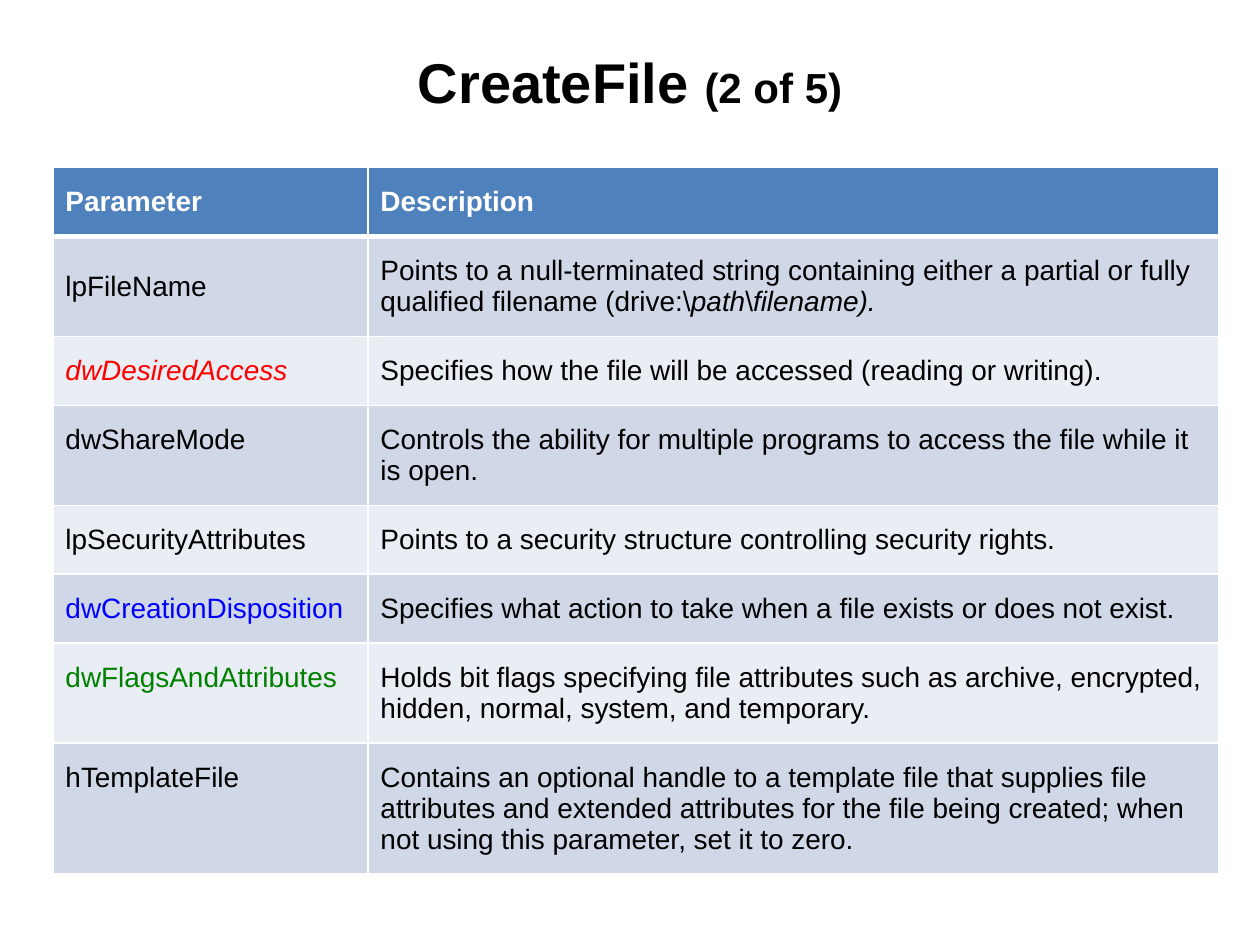
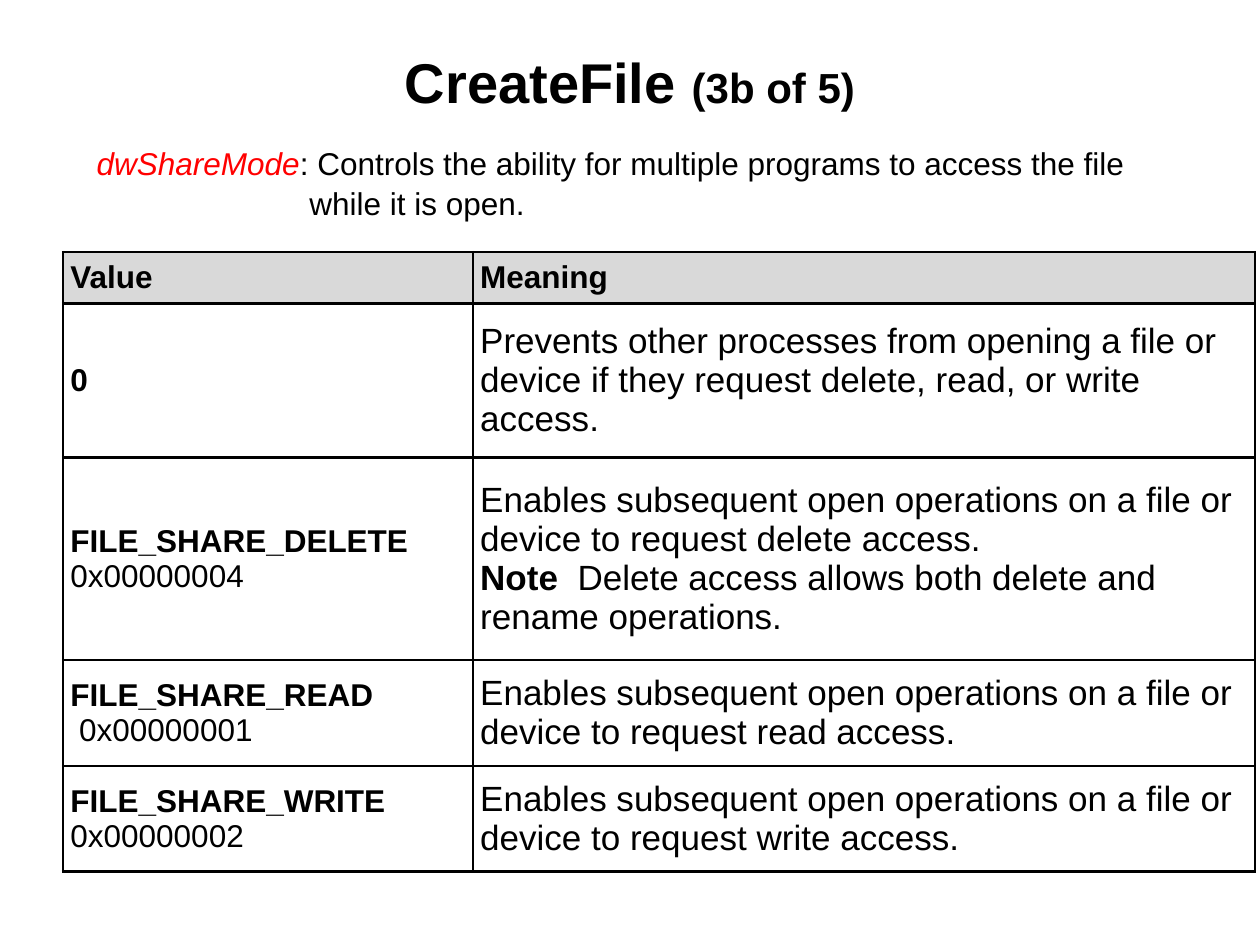
from lxml.etree import SubElement
from pptx import Presentation
from pptx.dml.color import RGBColor
from pptx.enum.text import MSO_ANCHOR, MSO_AUTO_SIZE, PP_ALIGN
from pptx.oxml.ns import qn
from pptx.util import Cm, Pt

FONT = "Arial"
BLACK, WHITE, RED, BLUE, GREEN = "000000", "FFFFFF", "FF0000", "0000FF", "008000"
HEADER_BLUE, BANDS = "4F81BD", ("D0D8E8", "E9EDF4")
HEADER_GREY = "D9D9D9"


def add_run(para, text, size, colour=BLACK, style=""):
    """Add one run; style holds "b" for bold and "i" for italic."""
    span = para.add_run()
    span.text = text
    span.font.name = FONT
    span.font.size = Pt(size)
    span.font.bold = "b" in style
    span.font.italic = "i" in style
    span.font.color.rgb = RGBColor.from_string(colour)


def format_cell(cell, fill, margins, line_colour, widths):
    """Set fill, (side, top) margins in cm and left, right, top, bottom line widths in points."""
    cell.margin_left = cell.margin_right = Cm(margins[0])
    cell.margin_top = cell.margin_bottom = Cm(margins[1])
    properties = cell._tc.get_or_add_tcPr()
    for side, width in zip("LRTB", widths):
        line = SubElement(properties, qn(f"a:ln{side}"), w=str(Pt(width)))
        solid = SubElement(line, qn("a:solidFill"))
        SubElement(solid, qn("a:srgbClr"), val=line_colour)
    if fill:
        cell.fill.solid()
        cell.fill.fore_color.rgb = RGBColor.from_string(fill)
    else:
        cell.fill.background()


deck = Presentation()
deck.slide_width, deck.slide_height = Cm(25.4), Cm(19.05)

pages = []
for part in ("(2 of 5)", "(3b of 5)"):
    page = deck.slides.add_slide(deck.slide_layouts[5])
    title = page.shapes.title
    title.left, title.top, title.width, title.height = Cm(1.27), Cm(0.43), Cm(22.86), Cm(2.41)
    title.text_frame.vertical_anchor = MSO_ANCHOR.MIDDLE
    para = title.text_frame.paragraphs[0]
    para.alignment = PP_ALIGN.CENTER
    add_run(para, "CreateFile ", 32, style="b")
    add_run(para, part, 24, style="b")
    pages.append(page)
parameter_page, share_page = pages

# Parameters of CreateFile: name, name colour, name style, description runs
parameters = [
    ("lpFileName", BLACK, "", [
        ("Points to a null-terminated string containing either a partial or fully "
         "qualified filename (drive:\\", ""),
        ("path", "i"), ("\\", ""), ("filename).", "i")]),
    ("dwDesiredAccess", RED, "i", [
        ("Specifies how the file will be accessed (reading or writing).", "")]),
    ("dwShareMode", BLACK, "", [
        ("Controls the ability for multiple programs to access the file while it is open.", "")]),
    ("lpSecurityAttributes", BLACK, "", [
        ("Points to a security structure controlling security rights.", "")]),
    ("dwCreationDisposition", BLUE, "", [
        ("Specifies what action to take when a file exists or does not exist.", "")]),
    ("dwFlagsAndAttributes", GREEN, "", [
        ("Holds bit flags specifying file attributes such as archive, encrypted, "
         "hidden, normal, system, and temporary.", "")]),
    ("hTemplateFile", BLACK, "", [
        ("Contains an optional handle to a template file that supplies file attributes "
         "and extended attributes for the file being created; when not using this "
         "parameter, set it to zero.", "")]),
]
row_height = Cm(1.04)
table = parameter_page.shapes.add_table(
    len(parameters) + 1, 2, Cm(1.07), Cm(3.38), Cm(23.5),
    row_height * (len(parameters) + 1)).table
table.columns[0].width, table.columns[1].width = Cm(6.35), Cm(17.15)
for index, row in enumerate(table.rows):
    row.height = row_height
    fill = BANDS[(index - 1) % 2] if index else HEADER_BLUE
    top, bottom = 3 if index == 1 else 1, 3 if index == 0 else 1
    for cell in row.cells:
        format_cell(cell, fill, (0.25, 0.38), WHITE, (1, 1, top, bottom))
        cell.vertical_anchor = MSO_ANCHOR.MIDDLE if index < 2 else MSO_ANCHOR.TOP
for column, heading in enumerate(("Parameter", "Description")):
    add_run(table.cell(0, column).text_frame.paragraphs[0], heading, 16, WHITE, "b")
for index, (name, colour, style, description) in enumerate(parameters, 1):
    add_run(table.cell(index, 0).text_frame.paragraphs[0], name, 16, colour, style)
    for text, text_style in description:
        add_run(table.cell(index, 1).text_frame.paragraphs[0], text, 16, BLACK, text_style)

# Share modes: row height, then for each cell its paragraphs of (text, style) runs
opening = "Enables subsequent open operations on a file or device to request "
share_modes = [
    (1.04, [[("Value", "b")]], [[("Meaning", "b")]]),
    (3.1, [[("0", "b")]],
     [[("Prevents other processes from opening a file or device if they request "
        "delete, read, or write access.", "")]]),
    (4.09, [[("FILE_SHARE_DELETE", "b")], [("0x00000004", "")]],
     [[(opening + "delete access.", "")],
      [("Note", "b"), ("  Delete access allows both delete and rename operations.", "")]]),
    (2.13, [[("FILE_SHARE_READ", "b")], [(" 0x00000001", "")]],
     [[(opening + "read access.", "")]]),
    (2.13, [[("FILE_SHARE_WRITE", "b")], [("0x00000002", "")]],
     [[(opening + "write access.", "")]]),
]
table = share_page.shapes.add_table(
    len(share_modes), 2, Cm(1.27), Cm(5.08), Cm(24.03),
    Cm(sum(mode[0] for mode in share_modes))).table
table.columns[0].width, table.columns[1].width = Cm(8.26), Cm(15.77)
for index, (height, *contents) in enumerate(share_modes):
    table.rows[index].height = Cm(height)
    for column, paragraphs in enumerate(contents):
        cell = table.cell(index, column)
        format_cell(cell, None if index else HEADER_GREY, (0.15, 0.08), BLACK, [1.5] * 4)
        cell.vertical_anchor = MSO_ANCHOR.MIDDLE
        size = 20 if index and column else 18
        for number, runs in enumerate(paragraphs):
            frame = cell.text_frame
            para = frame.add_paragraph() if number else frame.paragraphs[0]
            for text, style in runs:
                add_run(para, text, size, BLACK, style)

box = share_page.shapes.add_textbox(Cm(1.7), Cm(2.74), Cm(22.43), Cm(1.8))
box.text_frame.word_wrap = True
box.text_frame.auto_size = MSO_AUTO_SIZE.SHAPE_TO_FIT_TEXT
para = box.text_frame.paragraphs[0]
para.line_spacing = 1.05
hanging = para._p.get_or_add_pPr()
hanging.set("marL", str(Cm(4.29)))
hanging.set("indent", str(-Cm(4.29)))
add_run(para, "dwShareMode", 18, RED, "i")
add_run(para, ": Controls the ability for multiple programs to access the file while it is open.", 18)

deck.save("out.pptx")
